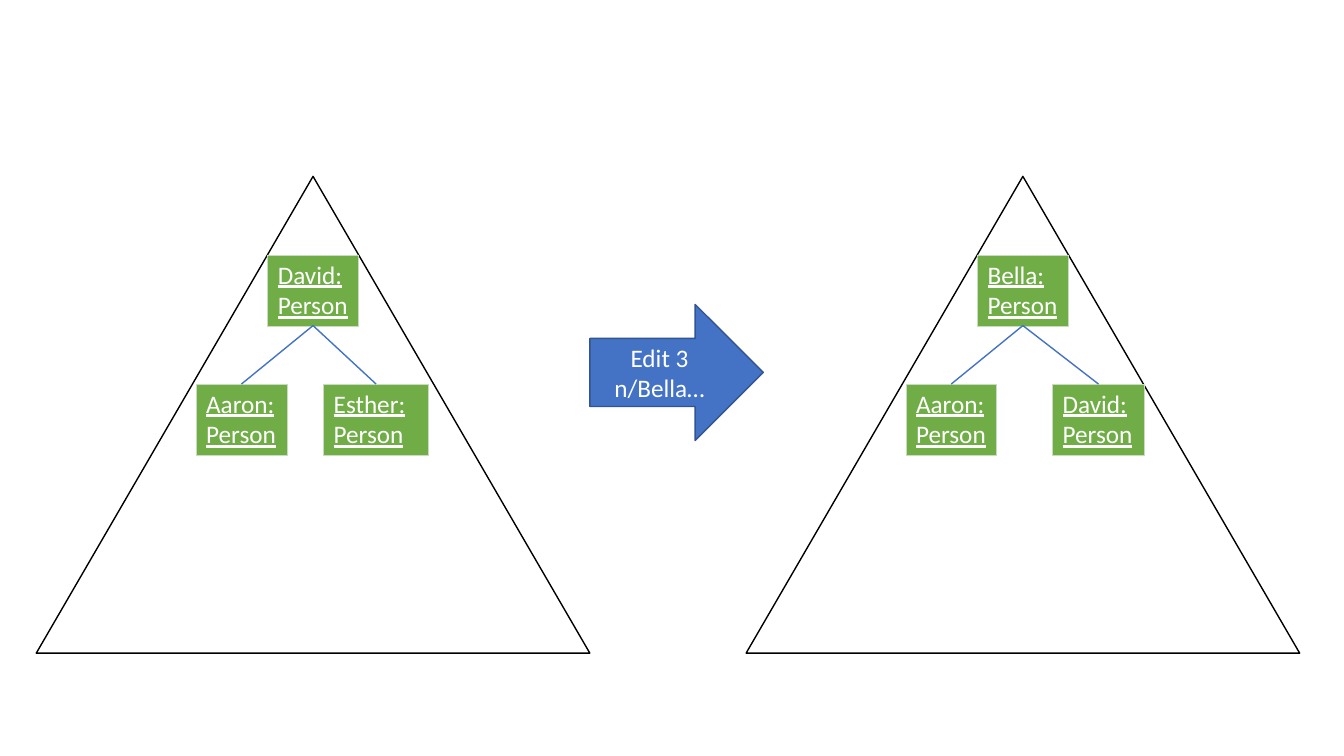
from lxml import etree
from pptx import Presentation
from pptx import util as u
from pptx.dml.color import RGBColor
from pptx.enum import shapes, text
from pptx.oxml.ns import qn

GREEN, BORDER = "70AD47", "C9DBC1"
BLUE, DARK_BLUE = "4472C4", "325491"
BLACK, WHITE = "000000", "FFFFFF"


def color(hex_string):
    return RGBColor.from_string(hex_string)


class TreeSlide:
    """Holds the text style and the slide being drawn."""
    font_name = "Calibri"
    font_size = u.Pt(18)
    line_width = u.Pt(1)

    def __init__(self, presentation):
        self.slide = presentation.slides.add_slide(presentation.slide_layouts[6])

    def add_lines(self, frame, lines, underline=False, align=text.PP_ALIGN.LEFT):
        for index, line in enumerate(lines):
            paragraph = frame.add_paragraph() if index else frame.paragraphs[0]
            paragraph.alignment = align
            run = paragraph.add_run()
            run.text = line
            run.font.name = self.font_name
            run.font.size = self.font_size
            run.font.underline = underline
            run.font.bold = False
            run.font.color.rgb = color(WHITE)

    def shape(self, kind, left, top, width, height, line, fill=None):
        shape = self.slide.shapes.add_shape(
            kind, u.Inches(left), u.Inches(top), u.Inches(width), u.Inches(height))
        shape.shadow.inherit = False
        if fill:
            shape.fill.solid()
            shape.fill.fore_color.rgb = color(fill)
        else:
            shape.fill.background()
        shape.line.color.rgb = color(line)
        shape.line.width = self.line_width
        return shape

    def arrow(self, left, top, width, height, lines):
        shape = self.shape(shapes.MSO_SHAPE.RIGHT_ARROW, left, top, width, height,
                           DARK_BLUE, BLUE)
        frame = shape.text_frame
        frame.word_wrap = True
        frame.vertical_anchor = text.MSO_ANCHOR.MIDDLE
        self.add_lines(frame, lines, align=text.PP_ALIGN.CENTER)

    def person(self, name, left, top, width, height):
        table = self.slide.shapes.add_table(
            1, 1, u.Inches(left), u.Inches(top), u.Inches(width), u.Inches(height)).table
        table.first_row = table.horz_banding = False
        cell = table.cell(0, 0)
        self.add_lines(cell.text_frame, [f"{name}:", "Person"], underline=True)
        # Borders come before the fill in the cell properties
        properties = cell._tc.get_or_add_tcPr()
        for side in ("a:lnL", "a:lnR", "a:lnT", "a:lnB"):
            border = etree.SubElement(properties, qn(side), w=str(u.Pt(0.5)))
            fill = etree.SubElement(border, qn("a:solidFill"))
            etree.SubElement(fill, qn("a:srgbClr"), val=BORDER)
        cell.fill.solid()
        cell.fill.fore_color.rgb = color(GREEN)

    def branch(self, start_x, start_y, end_x, end_y):
        connector = self.slide.shapes.add_connector(
            shapes.MSO_CONNECTOR.STRAIGHT, u.Inches(start_x), u.Inches(start_y),
            u.Inches(end_x), u.Inches(end_y))
        connector.line.color.rgb = color(BLUE)
        connector.line.width = self.line_width
        etree.SubElement(connector._element.spPr, qn("a:effectLst"))

    def tree(self, left, root, left_child, right_child, right_x, right_width):
        width, box_width, box_height = 5.49, 0.9, 0.7
        root_top, child_top = 2.53, 3.81
        middle = left + width / 2
        self.shape(shapes.MSO_SHAPE.ISOSCELES_TRIANGLE, left, 1.75, width, 4.73, BLACK)
        self.person(root, middle - box_width / 2, root_top, box_width, box_height)
        children = [(left_child, middle - 1.16, box_width),
                    (right_child, right_x, right_width)]
        for name, child_left, child_width in children:
            self.person(name, child_left, child_top, child_width, box_height)
            self.branch(middle, root_top + box_height,
                        child_left + child_width / 2, child_top)


def main():
    presentation = Presentation()
    presentation.slide_width = u.Inches(13.33)
    presentation.slide_height = u.Inches(7.5)
    slide = TreeSlide(presentation)

    # Tree before and after the edit
    slide.tree(0.36, "David", "Aaron", "Esther", 3.21, 1.04)
    slide.tree(7.4, "Bella", "Aaron", "David", 10.44, 0.91)

    # Edit command between the trees
    slide.arrow(5.85, 3.02, 1.72, 1.35, ["Edit 3", "n/Bella…"])

    presentation.save("out.pptx")


if __name__ == "__main__":
    main()
